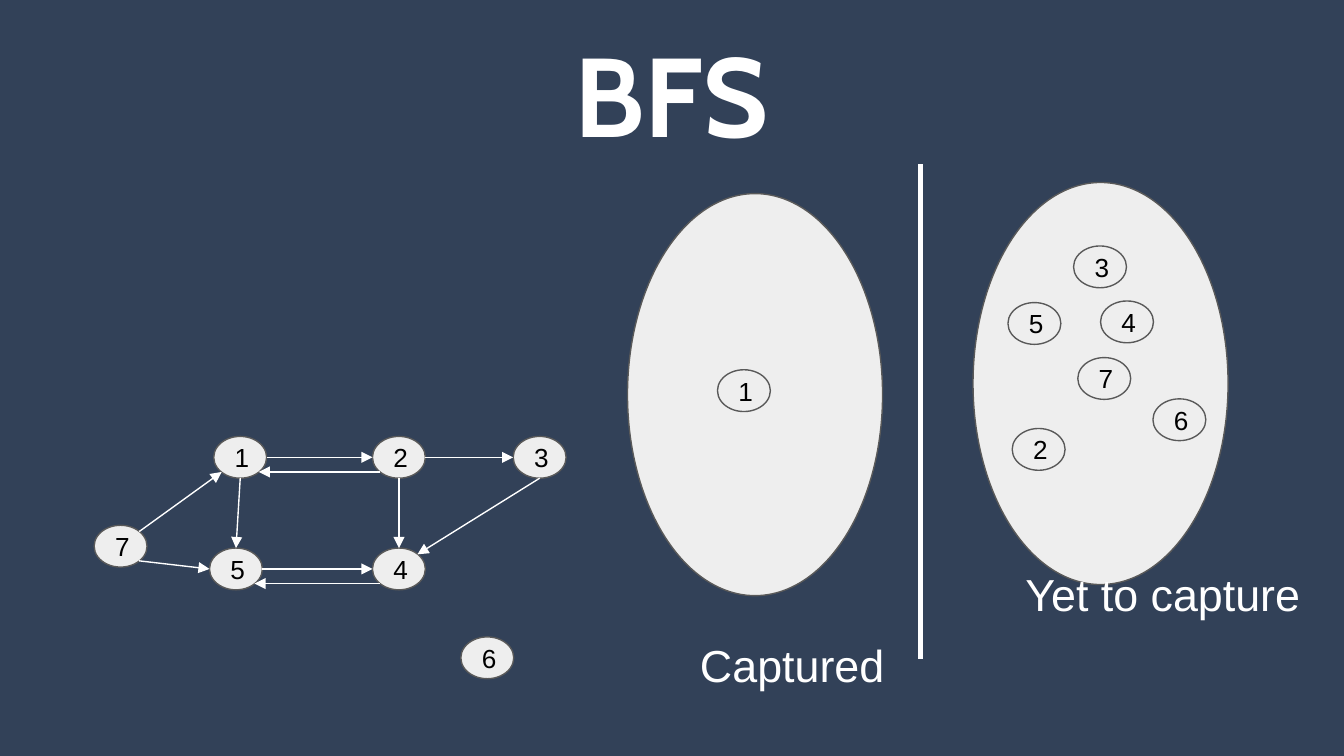
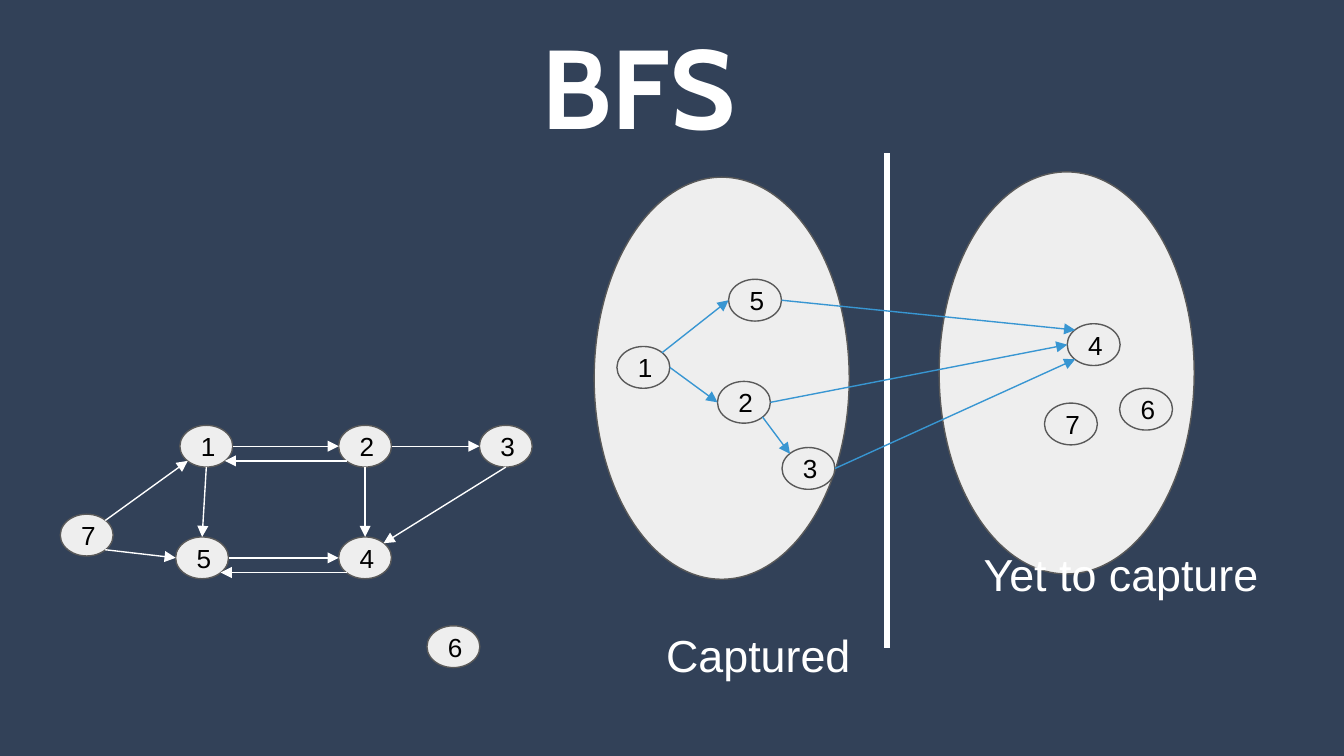
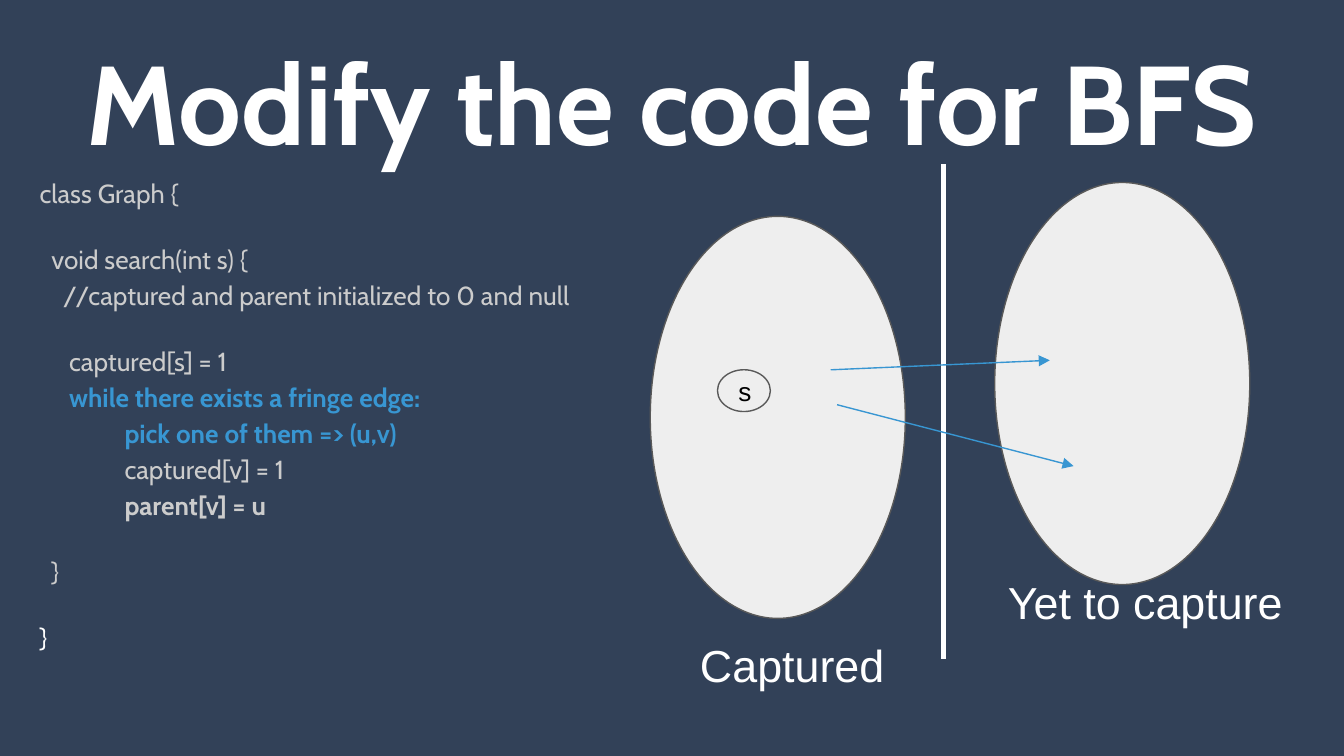
from lxml import etree
from pptx import Presentation
from pptx.dml.color import RGBColor
from pptx.enum.shapes import MSO_CONNECTOR, MSO_SHAPE
from pptx.enum.text import MSO_ANCHOR, PP_ALIGN
from pptx.oxml.ns import qn
from pptx.util import Cm, Pt

NAVY = RGBColor(0x32, 0x41, 0x58)
WHITE = RGBColor(0xFF, 0xFF, 0xFF)
BLACK = RGBColor(0, 0, 0)
PALE = RGBColor(0xEE, 0xEE, 0xEE)
OUTLINE = RGBColor(0x59, 0x59, 0x59)
CODE_GREY = RGBColor(0xCC, 0xCC, 0xCC)
BLUE = RGBColor(0x38, 0x96, 0xD2)

STRAIGHT = MSO_CONNECTOR.STRAIGHT
ELLIPSE, SET_OVAL = MSO_SHAPE.OVAL, MSO_SHAPE.FLOWCHART_CONNECTOR
TOP, MIDDLE = MSO_ANCHOR.TOP, MSO_ANCHOR.MIDDLE
LEFT, CENTER = PP_ALIGN.LEFT, PP_ALIGN.CENTER

NODE_SIZE = (1, 0.79)
SET_SIZE = (4.82, 7.6)
DIVIDER_LENGTH = 9.35

SITES = {
    "top": (0.5, 0), "bottom": (0.5, 1), "left": (0, 0.5), "right": (1, 0.5),
    "top left": (0.15, 0.15), "top right": (0.85, 0.15),
    "bottom left": (0.15, 0.85), "bottom right": (0.85, 0.85),
}

GRAPH_NODES = {
    "1": (2.26, 0), "2": (5.26, 0), "3": (7.92, 0), "7": (0, 1.68),
    "5": (2.18, 2.11), "4": (5.26, 2.11), "6": (6.93, 3.79),
}
GRAPH_EDGES = [
    ("1", "right", "2", "left"),
    ("2", "bottom left", "1", "bottom right"),
    ("2", "right", "3", "left"),
    ("2", "bottom", "4", "top"),
    ("3", "bottom", "4", "top right"),
    ("5", "right", "4", "left"),
    ("4", "bottom left", "5", "bottom right"),
    ("7", "top right", "1", "bottom left"),
    ("7", "bottom right", "5", "left"),
    ("1", "bottom", "5", "top"),
]

START_NODES = {
    "1": (13.56, 6.99), "3": (20.29, 4.65), "4": (20.8, 5.69), "2": (19.13, 8.1),
    "7": (20.37, 6.76), "6": (21.79, 7.54), "5": (19.05, 5.72),
}
LATER_NODES = {
    "1": (11.66, 6.55), "3": (14.78, 8.46), "4": (20.17, 6.12), "2": (13.56, 7.21),
    "7": (19.74, 7.62), "6": (21.16, 7.34), "5": (13.77, 5.28),
}
SEARCH_EDGES = [
    ("1", "right", "2", "left"),
    ("1", "top right", "5", "left"),
    ("2", "right", "4", "left"),
    ("5", "right", "4", "top left"),
    ("2", "bottom right", "3", "top left"),
    ("3", "right", "4", "bottom left"),
]
FRINGE_ARROWS = [((15.7, 6.99), (19.84, 6.81)), ((15.82, 7.65), (20.29, 8.81))]

CODE = [
    [("class Graph {", CODE_GREY, False)],
    [("  void search(int s) {", CODE_GREY, False),
     ("    //captured and parent initialized to 0 and null", CODE_GREY, False)],
    [("     captured[s] = 1", CODE_GREY, False),
     ("     while there exists a fringe edge:", BLUE, True),
     ("\t   pick one of them => (u,v)", BLUE, True),
     ("\t   captured[v] = 1", CODE_GREY, False),
     ("\t   parent[v] = u", CODE_GREY, True)],
    [("  }", CODE_GREY, False)],
    [("}", WHITE, False)],
]


class Deck:
    def __init__(self):
        self.prs = Presentation()
        self.prs.slide_width, self.prs.slide_height = Cm(25.4), Cm(14.29)
        background = self.prs.slide_master.background.fill
        background.solid()
        background.fore_color.rgb = NAVY
        self.slide = None

    def new_slide(self, title, left, top, height):
        self.slide = self.prs.slides.add_slide(self.prs.slide_layouts[6])
        self.text(title, left, top, 23.67, height, 60, "Cabin", True, CENTER, MIDDLE)

    def prepare(self, frame, anchor):
        frame.word_wrap = True
        frame.vertical_anchor = anchor
        frame.margin_left = frame.margin_right = Cm(0.25)
        frame.margin_top = frame.margin_bottom = Cm(0.25)
        return frame

    def style(self, paragraph, size, font, color, bold=False, align=LEFT):
        paragraph.alignment = align
        paragraph.font.size = Pt(size)
        paragraph.font.name = font
        paragraph.font.bold = bold
        paragraph.font.color.rgb = color

    def box(self, left, top, width, height, anchor=TOP):
        box = self.slide.shapes.add_textbox(Cm(left), Cm(top), Cm(width), Cm(height))
        return self.prepare(box.text_frame, anchor)

    def text(self, words, left, top, width, height, size=24, font="Arial",
             bold=False, align=LEFT, anchor=TOP):
        frame = self.box(left, top, width, height, anchor)
        frame.text = words
        self.style(frame.paragraphs[0], size, font, WHITE, bold, align)

    def oval(self, kind, place, size):
        oval = self.slide.shapes.add_shape(kind, *map(Cm, place + size))
        oval.shadow.inherit = False
        oval.fill.solid()
        oval.fill.fore_color.rgb = PALE
        oval.line.color.rgb = OUTLINE
        oval.line.width = Pt(0.75)
        return oval

    def node(self, label, place):
        frame = self.prepare(self.oval(ELLIPSE, place, NODE_SIZE).text_frame, MIDDLE)
        frame.text = label
        self.style(frame.paragraphs[0], 14, "Arial", BLACK)

    def line(self, start, end, color=WHITE, width=0.75, arrow=True):
        line = self.slide.shapes.add_connector(STRAIGHT, *map(Cm, start + end))
        line.line.color.rgb = color
        line.line.width = Pt(width)
        if arrow:
            etree.SubElement(line.line._get_or_add_ln(), qn("a:tailEnd"), type="triangle")
        etree.SubElement(line._element.spPr, qn("a:effectLst"))

    def graph(self, nodes, edges, color=WHITE, origin=(0, 0)):
        places = {label: (origin[0] + x, origin[1] + y) for label, (x, y) in nodes.items()}
        for label, place in places.items():
            self.node(label, place)

        def site(label, side):
            return tuple(p + s * f for p, s, f in zip(places[label], NODE_SIZE, SITES[side]))

        for source, leaving, target, entering in edges:
            self.line(site(source, leaving), site(target, entering), color)

    def sets(self, captured, remaining, divider, captured_label, remaining_label):
        self.oval(SET_OVAL, captured, SET_SIZE)
        self.oval(SET_OVAL, remaining, SET_SIZE)
        x, y = divider
        self.line((x, y), (x, y + DIVIDER_LENGTH), width=3, arrow=False)
        self.text("Captured", *captured_label, 4.14, 1.27)
        self.text("Yet to capture", *remaining_label, 6.43, 0.79)

    def code(self, blocks, left, top, width, height):
        frame = self.box(left, top, width, height)
        for number, block in enumerate(blocks):
            paragraph = frame.add_paragraph() if number else frame.paragraphs[0]
            paragraph.line_spacing = 1.15
            paragraph.space_before = Pt(16 if number else 0)
            self.style(paragraph, 14, "Cabin", CODE_GREY)
            for row, (words, color, bold) in enumerate(block):
                if row:
                    paragraph.add_line_break()
                run = paragraph.add_run()
                run.text = words
                run.font.color.rgb = color
                run.font.bold = bold


def main():
    deck = Deck()

    deck.new_slide("BFS", 0.86, 0.05, 3.4)
    deck.sets((11.86, 3.66), (18.39, 3.45), (17.4, 3.1), (12.98, 11.81), (19.13, 10.46))
    deck.graph(GRAPH_NODES, GRAPH_EDGES, origin=(1.78, 8.25))
    deck.graph(START_NODES, [])

    deck.new_slide("BFS", 0.23, -1.12, 5.44)
    deck.sets((11.23, 3.35), (17.75, 3.25), (16.76, 2.9), (12.34, 11.61), (18.34, 10.08))
    deck.graph(GRAPH_NODES, GRAPH_EDGES, origin=(1.14, 8.04))
    deck.graph(LATER_NODES, SEARCH_EDGES, BLUE)

    deck.new_slide("Modify the code for BFS", 0.86, -0.81, 5.44)
    deck.code(CODE, 0.5, 3.02, 23.67, 9.5)
    deck.sets((12.29, 4.09), (18.8, 3.45), (17.83, 3.1), (12.98, 11.81), (18.8, 10.62))
    for start, end in FRINGE_ARROWS:
        deck.line(start, end, BLUE)
    deck.node("s", (13.56, 6.99))

    deck.prs.save("out.pptx")


if __name__ == "__main__":
    main()
